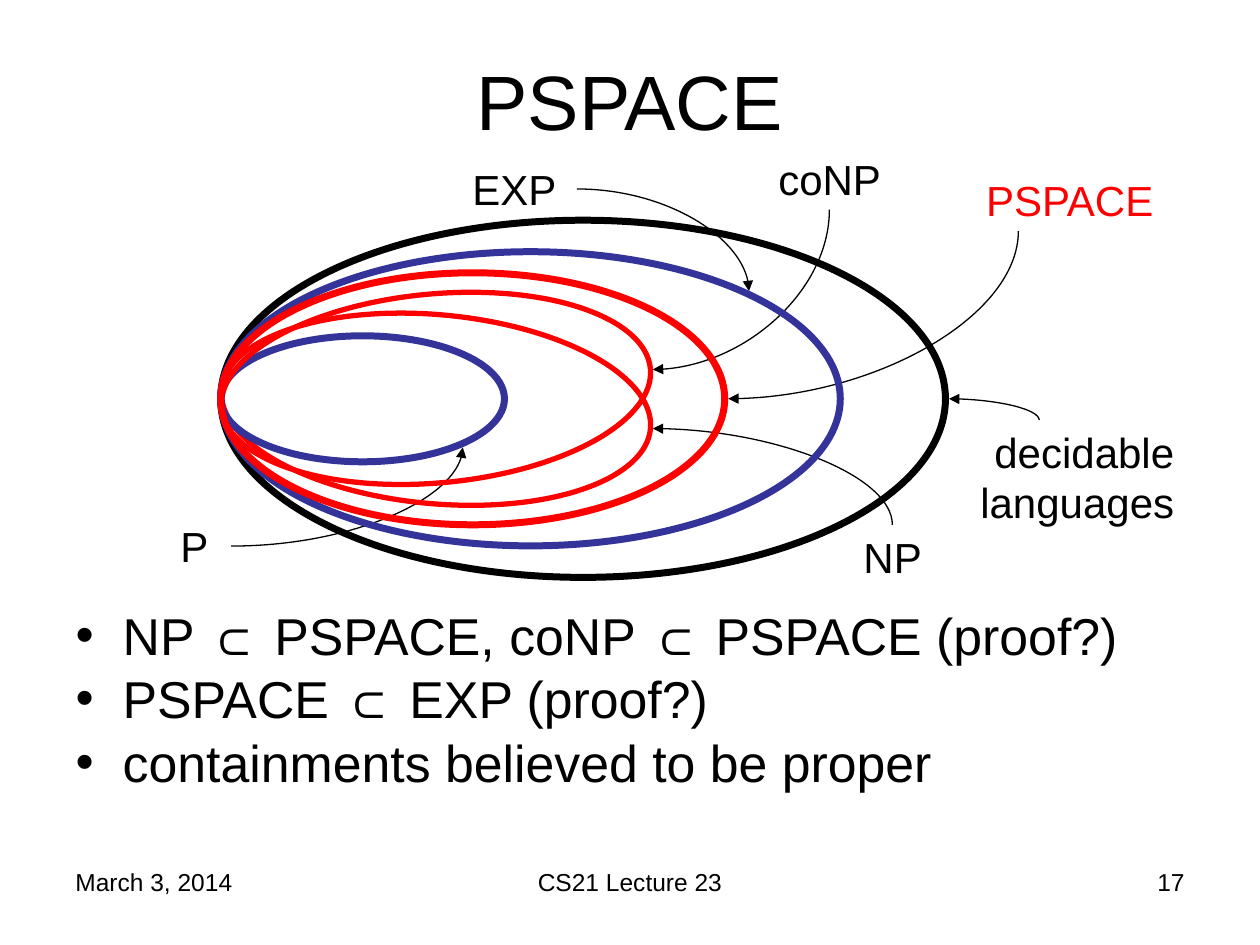
"""Build a slide on PSPACE and its neighbouring complexity classes."""
import lxml.etree
import pptx
import pptx.dml.color
import pptx.enum.shapes
import pptx.enum.text
import pptx.oxml.ns
import pptx.util

Cm = pptx.util.Cm
Pt = pptx.util.Pt
qn = pptx.oxml.ns.qn
Align = pptx.enum.text.PP_ALIGN
Fit = pptx.enum.text.MSO_AUTO_SIZE
Kind = pptx.enum.shapes.MSO_SHAPE
BLACK = pptx.dml.color.RGBColor(0x00, 0x00, 0x00)
RED = pptx.dml.color.RGBColor(0xFF, 0x00, 0x00)
BLUE = pptx.dml.color.RGBColor(0x33, 0x33, 0x99)


def style(para, text, size, color, align):
    para.alignment = align
    run = para.add_run()
    run.text = text
    for key, value in {"name": "Arial", "size": Pt(size)}.items():
        setattr(run.font, key, value)
    run.font.color.rgb = color


def place(shape, left, top, width, height):
    box = {"left": left, "top": top, "width": width, "height": height}
    for key, value in box.items():
        setattr(shape, key, Cm(value))


deck = pptx.Presentation()
deck.slide_width = Cm(25.4)
deck.slide_height = Cm(19.05)
slide = deck.slides.add_slide(deck.slide_layouts[1])
shapes = slide.shapes

title = shapes.title
place(title, 1.27, 0.42, 22.86, 3.18)
title.text_frame.auto_size = Fit.NONE
title.text_frame.vertical_anchor = pptx.enum.text.MSO_ANCHOR.MIDDLE
style(title.text_frame.paragraphs[0], "PSPACE", 44, BLACK, Align.CENTER)

body = slide.placeholders[1]
place(body, 1.27, 12.28, 22.86, 4.74)
frame = body.text_frame
frame.auto_size = Fit.NONE
points = [
    "NP ⊂ PSPACE, coNP ⊂ PSPACE (proof?)",
    "PSPACE ⊂ EXP (proof?)",
    "containments believed to be proper",
]
for index, text in enumerate(points):
    para = frame.add_paragraph() if index else frame.paragraphs[0]
    props = para._p.get_or_add_pPr()
    for key, value in {"marL": Cm(0.95), "indent": Cm(-0.95)}.items():
        props.set(key, str(int(value)))
    para.line_spacing = 0.8
    para.space_before = Pt(8 if index else 0)
    style(para, text, 29.6, BLACK, Align.LEFT)

labels = [
    ("March 3, 2014", 1.27, 17.36, 5.93, 1.32, 14, BLACK, Align.LEFT),
    ("CS21 Lecture 23", 8.68, 17.36, 8.04, 1.32, 14, BLACK, Align.CENTER),
    ("17", 18.2, 17.36, 5.93, 1.32, 14, BLACK, Align.RIGHT),
    ("PSPACE", 17.57, 3.39, 5.93, 1.27, 24, RED, Align.RIGHT),
    ("NP", 15.03, 10.58, 5.93, 1.27, 24, BLACK, Align.CENTER),
    ("P", 3.18, 10.37, 1.48, 1.27, 24, BLACK, Align.CENTER),
    ("EXP", 9.1, 3.18, 2.54, 1.27, 24, BLACK, Align.CENTER),
    ("coNP", 13.76, 2.96, 5.93, 1.27, 24, BLACK, Align.CENTER),
    ("decidable languages", 17.99, 8.47, 5.93, 2.29, 24, BLACK, Align.RIGHT),
]
for text, left, top, width, height, size, color, align in labels:
    label = shapes.add_textbox(Cm(left), Cm(top), Cm(width), Cm(height))
    label.text_frame.word_wrap = True
    style(label.text_frame.paragraphs[0], text, size, color, align)

curves = [
    (14.68, 8.04, 20.53, 4.66, "head"),
    (13.16, 8.64, 17.99, 10.58, "head"),
    (4.66, 11.01, 9.33, 9.02, "tail"),
    (11.63, 3.81, 15.1, 5.87, "tail"),
    (13.16, 7.45, 16.72, 4.23, "head"),
    (19.13, 8.04, 20.95, 8.47, "head"),
]
for *ends, tip in curves:
    curve = shapes.add_connector(
        pptx.enum.shapes.MSO_CONNECTOR.CURVE, *[Cm(end) for end in ends]
    )
    curve.line.color.rgb = BLACK
    curve.line.width = Pt(0.75)
    props = curve._element.spPr
    props.find(qn("a:prstGeom")).set("prst", "curvedConnector2")
    line = props.find(qn("a:ln"))
    lxml.etree.SubElement(line, qn(f"a:{tip}End"), type="triangle")
    lxml.etree.SubElement(props, qn("a:effectLst"))

LEFT = 4.45
MID = 8.04
TILT = 5.2
ovals = [
    (8.68, 3.81, MID + 0.21, TILT, RED, 3),
    (5.72, 2.54, MID, 0, BLUE, 4),
    (8.68, 3.81, MID - 0.21, 360 - TILT, RED, 3),
    (14.61, 7.2, MID, 0, BLACK, 4),
    (12.49, 5.93, MID, 0, BLUE, 4),
    (10.16, 5.08, MID, 0, RED, 4),
]
for width, height, mid, turn, color, weight in ovals:
    oval = shapes.add_shape(
        Kind.OVAL, Cm(LEFT), Cm(mid - height / 2), Cm(width), Cm(height)
    )
    oval.rotation = turn
    oval.shadow.inherit = False
    oval.fill.background()
    oval.line.color.rgb = color
    oval.line.width = Pt(weight)

deck.save("out.pptx")
